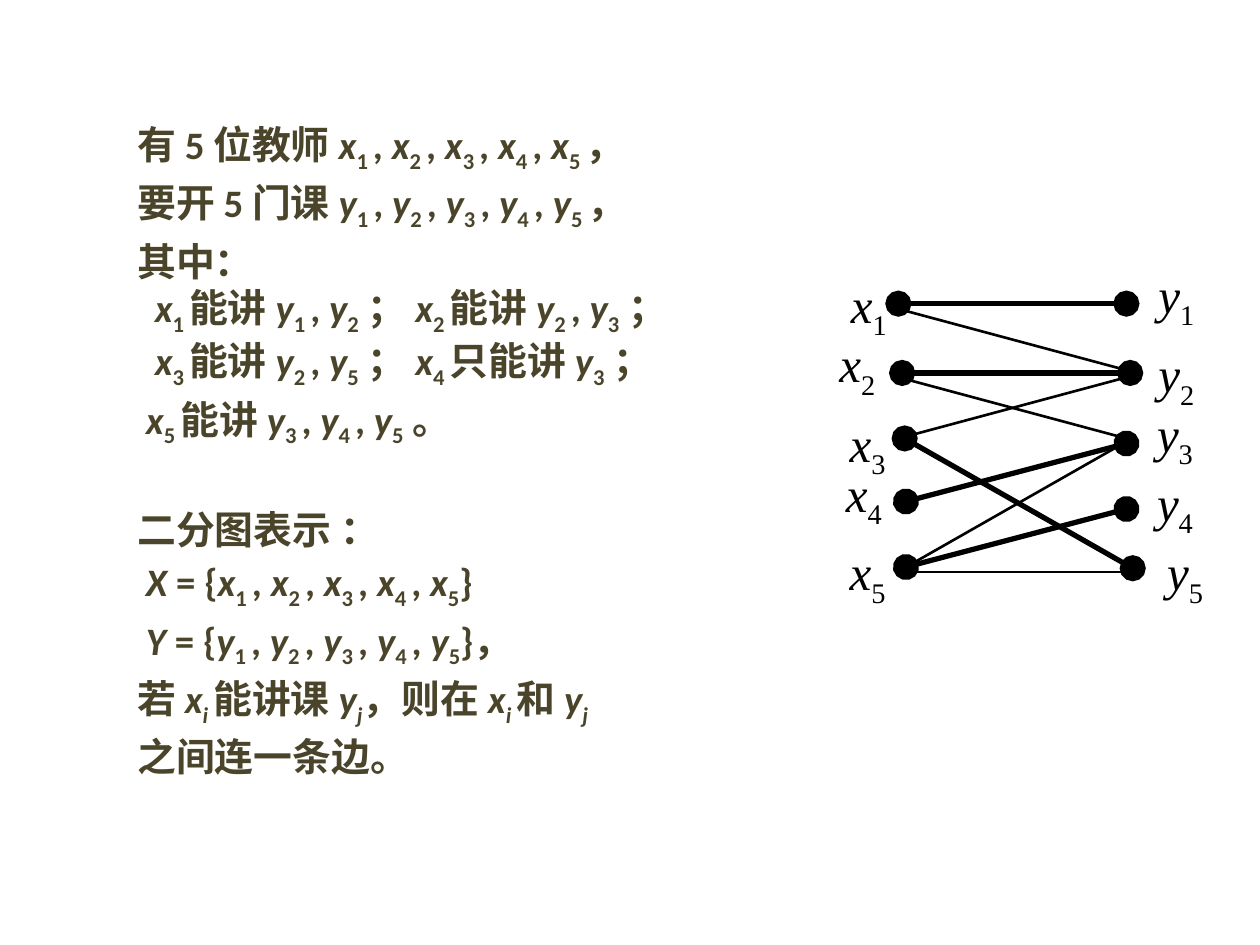
from dataclasses import dataclass
from itertools import groupby

from lxml.etree import SubElement
from pptx import Presentation
from pptx.dml.color import RGBColor
from pptx.enum.shapes import MSO_CONNECTOR as CONN
from pptx.enum.text import MSO_AUTO_SIZE as AUTO, PP_ALIGN as ALIGN
from pptx.oxml.ns import qn
from pptx.util import Inches, Pt


@dataclass(frozen=True)
class Theme:
    """Colours, fonts and sizes of the slide."""
    text: RGBColor = RGBColor(0x4A, 0x45, 0x2A)
    ink: RGBColor = RGBColor(0, 0, 0)
    body_font: str = "Calibri"
    math_font: str = "Times New Roman"
    body: float = 22.2
    label: float = 28
    thick: float = 3
    thin: float = 1.5


THEME = Theme()

# Text, left indent in inches, space before in points
BODY = [
    ("有 5 位教师 x1 , x2 , x3 , x4 , x5 ，", 0, 0),
    ("要开 5 门课 y1 , y2 , y3 , y4 , y5 ，", 0, 3),
    ("其中：", 0, 3),
    ("x1 能讲 y1 , y2 ； x2 能讲 y2 , y3 ；", 0.14, 0),
    ("x3 能讲 y2 , y5 ； x4 只能讲 y3 ；", 0.14, 0),
    ("x5 能讲 y3 , y4 , y5 。", 0.07, 3),
    ("二分图表示 ：", 0, 33),
    ("X = {x1 , x2 , x3 , x4 , x5}", 0.07, 3),
    ("Y = {y1 , y2 , y3 , y4 , y5}，", 0.07, 3),
    ("若 xi 能讲课 yj，则在 xi 和 yj", 0, 3),
    ("之间连一条边。", 0, 3),
]

NODES = {
    "x1": (0.53, 0.41), "x2": (0.56, 0.96), "x3": (0.58, 1.48),
    "x4": (0.59, 1.98), "x5": (0.59, 2.5),
    "y1": (2.34, 0.41), "y2": (2.37, 0.96), "y3": (2.34, 1.52),
    "y4": (2.34, 2.04), "y5": (2.39, 2.51),
}
MATCHING = [("x1", "y1"), ("x2", "y2"), ("x4", "y3"), ("x5", "y4"), ("x3", "y5")]
OTHER_EDGES = [
    ((0.56, 0.46), (2.31, 0.93)),
    ((0.59, 1.01), (2.34, 1.48)),
    ((0.57, 1.47), (2.32, 1)),
    ((2.26, 1.55), (0.61, 2.49)),
    ((0.61, 2.54), (2.42, 2.54)),
]
LABELS = {
    "x1": (0.15, 0.18), "x2": (0.06, 0.65), "x3": (0.14, 1.28),
    "x4": (0.11, 1.68), "x5": (0.14, 2.3),
    "y1": (2.59, 0.1), "y2": (2.59, 0.73), "y3": (2.58, 1.2),
    "y4": (2.58, 1.75), "y5": (2.66, 2.3),
}


def add_math(p, text):
    """Add text with italic letters and a subscript after each x or y."""
    styled, sub = [], False
    for prev, char, after in zip(" " + text, text, text[1:] + " "):
        sub = prev in "xy" or (sub and char == " " and after not in "；。")
        italic = char.isascii() and char.isalpha()
        styled.append((char, italic, sub))
    for (italic, sub), chars in groupby(styled, key=lambda item: item[1:]):
        r = p.add_run()
        r.text = "".join(char for char, *_ in chars)
        r.font.italic = italic
        if sub:
            r.font._element.set("baseline", "-25000")


def set_font(p, name, size, color, bold=False):
    """Set the font shared by all runs of a paragraph."""
    f = p.font
    f.name, f.size, f.bold = name, Pt(size), bold
    f.color.rgb = color


def add_body(slide, left, top, width, height):
    """Place the problem statement in its box."""
    box = slide.shapes.add_textbox(*map(Inches, (left, top, width, height)))
    tf = box.text_frame
    tf.word_wrap = True
    for i, (text, indent, before) in enumerate(BODY):
        p = tf.add_paragraph() if i else tf.paragraphs[0]
        p.space_before = Pt(before)
        p._p.get_or_add_pPr().set("marL", str(Inches(indent)))
        add_math(p, text)
        set_font(p, THEME.body_font, THEME.body, THEME.text, bold=True)


def add_edge(slide, left, top, start, end, width, dots=False):
    """Draw one edge, with a round node at both ends if dots is set."""
    (x1, y1), (x2, y2) = start, end
    ends = (left + x1, top + y1, left + x2, top + y2)
    line = slide.shapes.add_connector(CONN.STRAIGHT, *map(Inches, ends))
    line.line.color.rgb = THEME.ink
    line.line.width = Pt(width)
    if dots:
        ln = line.line._get_or_add_ln()
        for tag in ("a:headEnd", "a:tailEnd"):
            SubElement(ln, qn(tag), type="oval", w="lg", len="lg")
    SubElement(line._element.spPr, qn("a:effectLst"))


def add_label(slide, left, top, text):
    """Place one node label."""
    box = slide.shapes.add_textbox(*map(Inches, (left, top, 0.29, 0.53)))
    tf = box.text_frame
    tf.margin_left = tf.margin_right = tf.margin_top = tf.margin_bottom = 0
    tf.word_wrap = False
    tf.auto_size = AUTO.SHAPE_TO_FIT_TEXT
    p = tf.paragraphs[0]
    p.alignment = ALIGN.CENTER
    add_math(p, text)
    set_font(p, THEME.math_font, THEME.label, THEME.ink)


def add_graph(slide, left, top):
    """Draw the bipartite graph from its top left corner."""
    for a, b in MATCHING:
        add_edge(slide, left, top, NODES[a], NODES[b], THEME.thick, dots=True)
    for start, end in OTHER_EDGES:
        add_edge(slide, left, top, start, end, THEME.thin)
    for name, (x, y) in LABELS.items():
        add_label(slide, left + x, top + y, name)


def main():
    """Build the slide and save it."""
    prs = Presentation()
    prs.slide_width, prs.slide_height = Inches(10), Inches(7.5)
    slide = prs.slides.add_slide(prs.slide_layouts[6])
    add_body(slide, 0.99, 0.91, 5.28, 5.67)
    add_graph(slide, 6.6, 2)
    prs.save("out.pptx")


if __name__ == "__main__":
    main()
